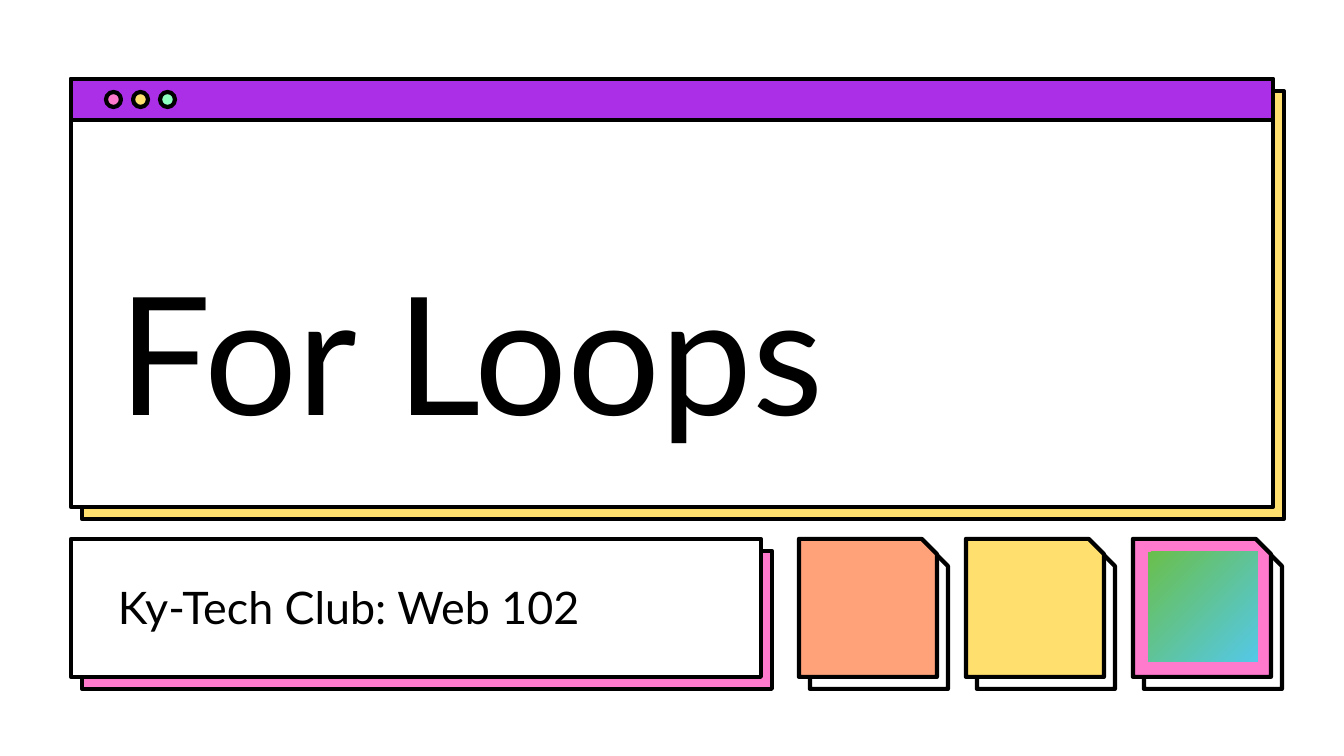
from pptx import Presentation
from pptx.dml.color import RGBColor
from pptx.enum.shapes import MSO_SHAPE
from pptx.enum.text import MSO_ANCHOR
from pptx.util import Pt

RECT, OVAL, SNIP = MSO_SHAPE.RECTANGLE, MSO_SHAPE.OVAL, MSO_SHAPE.SNIP_1_RECTANGLE
TOP, BOTTOM = MSO_ANCHOR.TOP, MSO_ANCHOR.BOTTOM

BLACK = RGBColor(0x00, 0x00, 0x00)
WHITE = RGBColor(0xFF, 0xFF, 0xFF)
YELLOW = RGBColor(0xFF, 0xDF, 0x6D)
PINK = RGBColor(0xFF, 0x7A, 0xCD)
PURPLE = RGBColor(0xAA, 0x2F, 0xE6)
MINT = RGBColor(0x8F, 0xFF, 0xC1)
ORANGE = RGBColor(0xFF, 0xA2, 0x7A)
GREEN = RGBColor(0x6A, 0xBF, 0x4B)
SKY = RGBColor(0x54, 0xC8, 0xE8)

# Content: words, box, point size, anchor
TEXTS = [
    ("For Loops", (106, 167, 1133, 294), 88, BOTTOM),
    ("Ky-Tech Club: Web 102", (105, 567, 610, 89), 24, TOP),
]
# Panels: box, shadow colour
PANELS = [
    ((71, 79, 1202, 428), YELLOW),
    ((71, 539, 690, 138), PINK),
]
DOTS = [PINK, YELLOW, MINT]
TILES = [ORANGE, YELLOW, PINK]

# Layout in px
PX = 914400 / 134.4
TITLE_BAR = (71, 79, 1202, 41)
DOT_LEFT, DOT_TOP, DOT_SIZE, DOT_STEP = 106, 92, 15, 27
TILE_LEFT, TILE_TOP, TILE_SIZE, TILE_STEP = 799, 539, 138, 167
TILE_SNIP = 0.11
SHADOW_X, SHADOW_Y = 11, 12
EMBLEM = (1148, 552, 110, 110)
INSET = 13


def emu(px):
    return round(px * PX)


def add_shape(page, kind, box, color):
    shape = page.shapes.add_shape(kind, *map(emu, box))
    shape.shadow.inherit = False
    shape.fill.solid()
    shape.fill.fore_color.rgb = color
    shape.line.color.rgb = BLACK
    shape.line.width = Pt(2.25)
    if kind == SNIP:
        shape.adjustments[0] = TILE_SNIP
    return shape


def add_shadowed(page, kind, box, color, shadow_color):
    left, top, width, height = box
    add_shape(page, kind, (left + SHADOW_X, top + SHADOW_Y, width, height), shadow_color)
    add_shape(page, kind, box, color)


def add_text(page, words, box, size, anchor):
    frame = page.shapes.add_textbox(*map(emu, box)).text_frame
    frame_format = {"word_wrap": True, "vertical_anchor": anchor}
    for side in ("left", "top", "right", "bottom"):
        frame_format["margin_" + side] = emu(INSET)
    for name, value in frame_format.items():
        setattr(frame, name, value)
    span = frame.paragraphs[0].add_run()
    span.text = words
    for name, value in {"name": "Lato", "size": Pt(size)}.items():
        setattr(span.font, name, value)
    span.font.color.rgb = BLACK


def add_emblem(page):
    emblem = add_shape(page, RECT, EMBLEM, GREEN)
    emblem.line.fill.background()
    emblem.fill.gradient()
    emblem.fill.gradient_angle = 315
    for stop, color, position in zip(emblem.fill.gradient_stops, (GREEN, SKY), (0, 1)):
        stop.color.rgb = color
        stop.position = position


def main():
    deck = Presentation()
    deck.slide_width, deck.slide_height = emu(1344), emu(756)
    page = deck.slides.add_slide(deck.slide_layouts[6])

    # Window and subtitle panels
    for box, shadow_color in PANELS:
        add_shadowed(page, RECT, box, WHITE, shadow_color)

    # Window title bar with its buttons
    add_shape(page, RECT, TITLE_BAR, PURPLE)
    for index, color in enumerate(DOTS):
        add_shape(page, OVAL, (DOT_LEFT + index * DOT_STEP, DOT_TOP, DOT_SIZE, DOT_SIZE), color)

    # Title and subtitle
    for item in TEXTS:
        add_text(page, *item)

    # Tiles, with a plain emblem on the last
    for index, color in enumerate(TILES):
        box = (TILE_LEFT + index * TILE_STEP, TILE_TOP, TILE_SIZE, TILE_SIZE)
        add_shadowed(page, SNIP, box, color, WHITE)
    add_emblem(page)

    deck.save("out.pptx")


if __name__ == "__main__":
    main()
